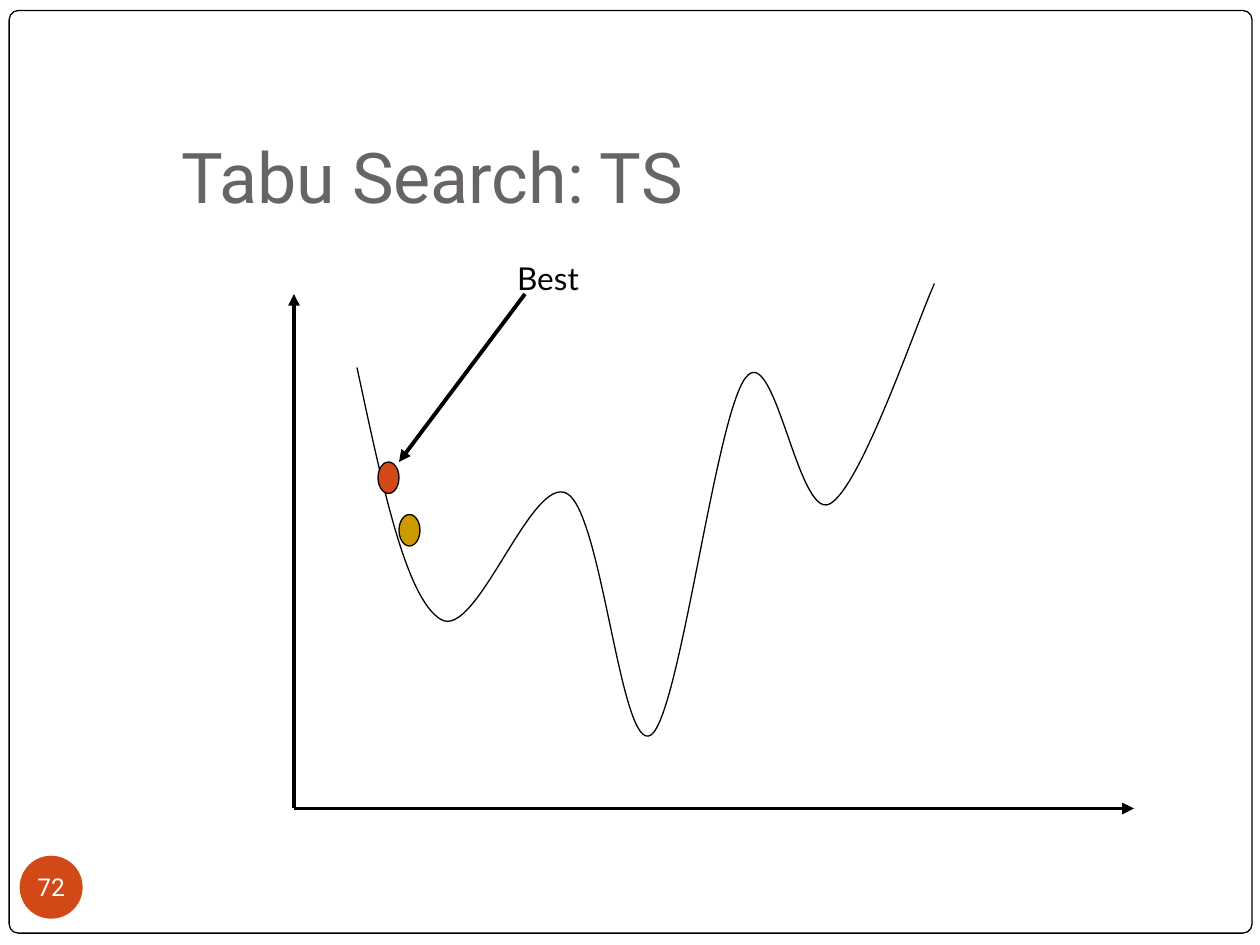
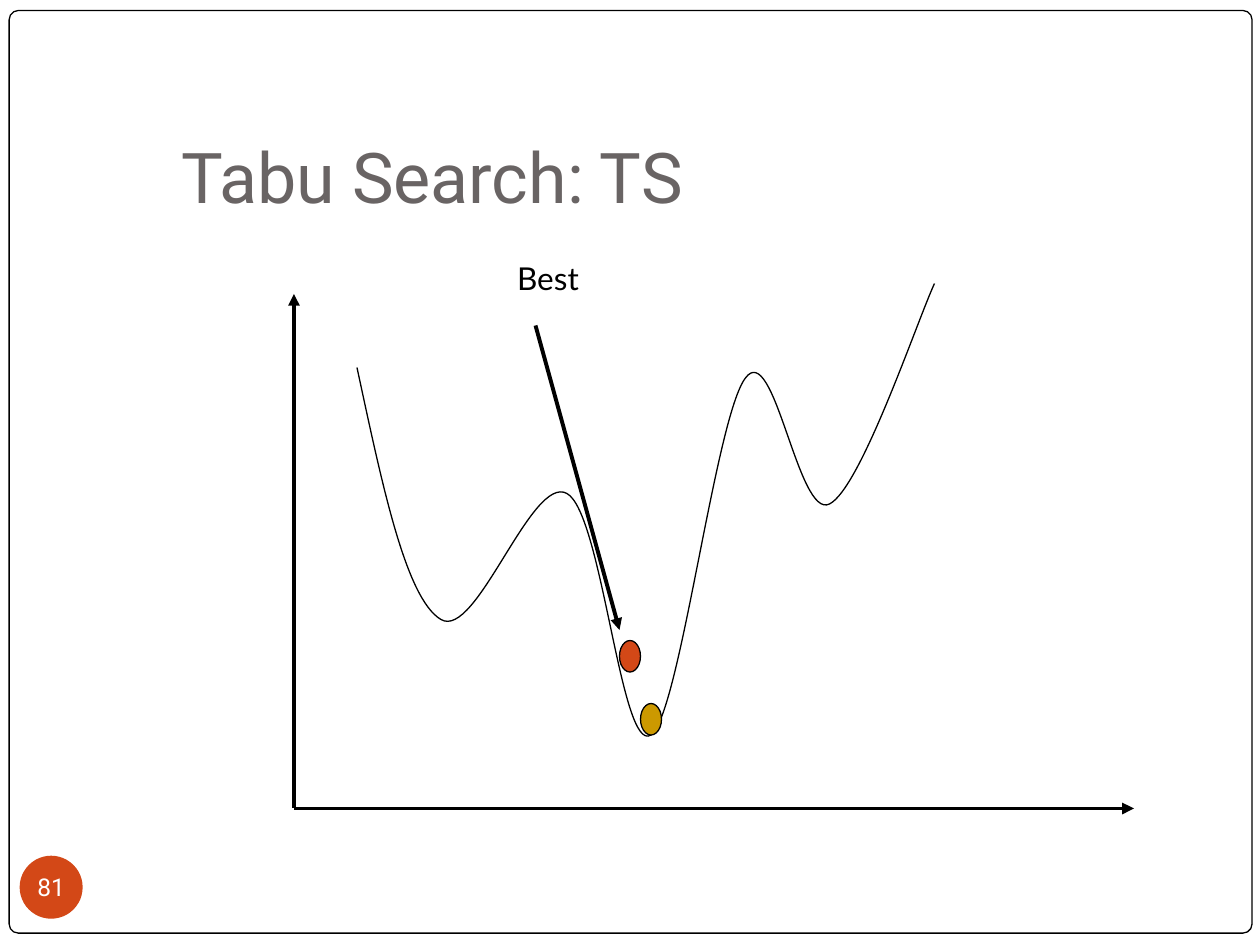
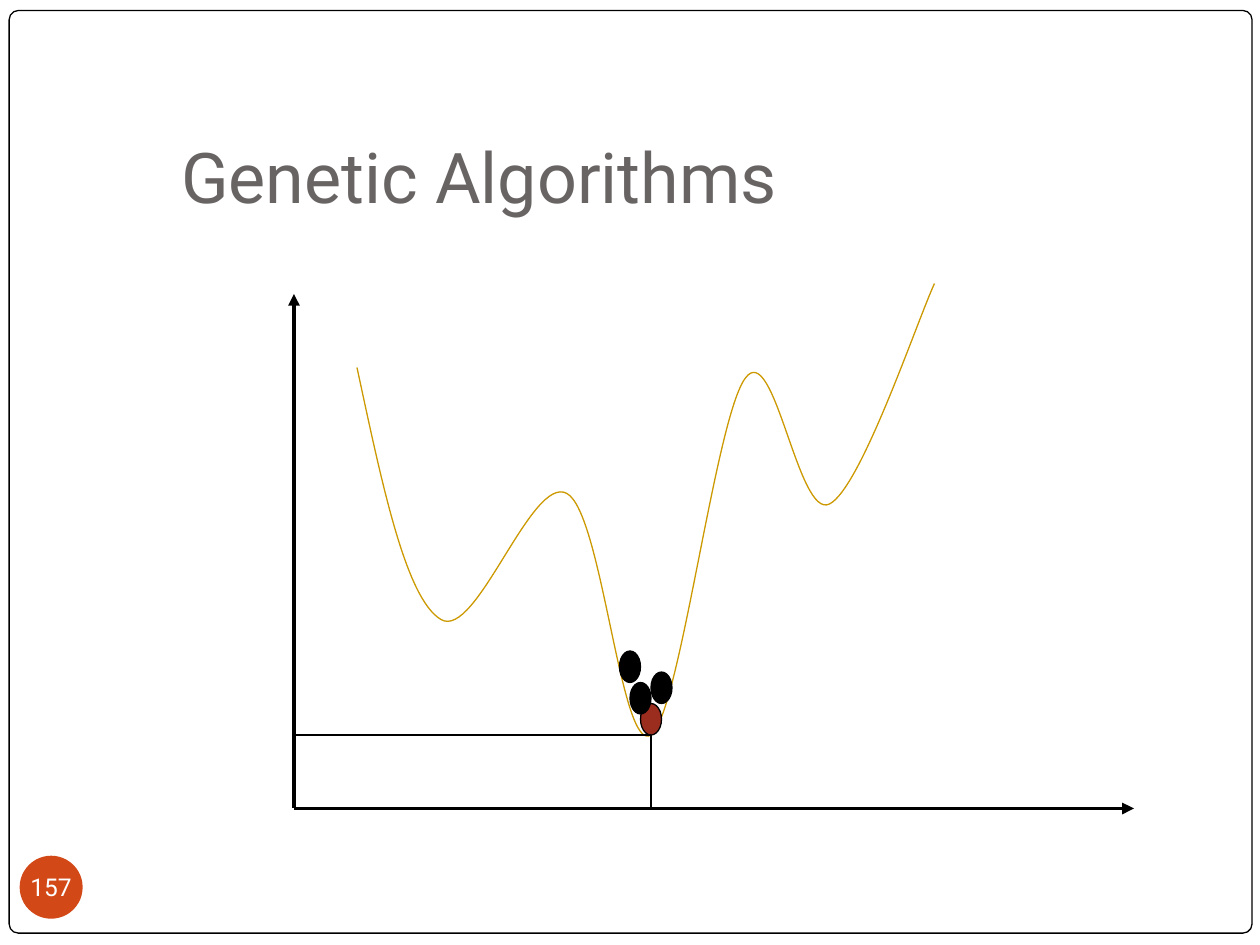
from lxml.etree import SubElement
from pptx import Presentation
from pptx.dml.color import RGBColor
from pptx.enum.shapes import MSO_CONNECTOR as Connector, MSO_SHAPE as Shape
from pptx.enum.text import MSO_ANCHOR as Anchor, PP_ALIGN as Align
from pptx.oxml.ns import qn
from pptx.util import Pt

PX = 9525  # EMU per px, 96 px to the inch

BLACK = RGBColor(0x00, 0x00, 0x00)
WHITE = RGBColor(0xFF, 0xFF, 0xFF)
GRAY = RGBColor(0x69, 0x64, 0x64)
ORANGE = RGBColor(0xD3, 0x48, 0x17)
GOLD = RGBColor(0xCC, 0x99, 0x00)
DARK_RED = RGBColor(0x9B, 0x2D, 0x1F)

THIN, THICK = 0.75, 2.25
NODE_WIDTH, NODE_HEIGHT = 16, 24
AXIS_LEFT, AXIS_TOP, AXIS_RIGHT, AXIS_BOTTOM = 224, 224, 864, 616

# Cost curve: a start point, then three Bezier points per arc
CURVE_START = (272, 280)
CURVE_POINTS = [
    (291, 368), (309, 456), (336, 472),
    (363, 488), (405, 361), (432, 376),
    (459, 391), (473, 575), (496, 560),
    (518, 545), (545, 318), (568, 288),
    (590, 258), (608, 396), (632, 384),
    (656, 372), (699, 244), (712, 216),
]

# Lines: start, end, width, arrowhead
AXES = [
    ((AXIS_LEFT, AXIS_TOP), (AXIS_LEFT, AXIS_BOTTOM), THICK, "headEnd"),
    ((AXIS_LEFT, AXIS_BOTTOM), (AXIS_RIGHT, AXIS_BOTTOM), THICK, "tailEnd"),
]
MINIMUM = (496, 560)

SLIDES = [
    dict(title="Tabu Search: TS", number="72", label="Best", curve=BLACK,
         nodes=[(304, 392, GOLD), (288, 352, ORANGE)],
         lines=[((400, 224), (304, 352), THICK, "tailEnd")]),
    dict(title="Tabu Search: TS", number="81", label="Best", curve=BLACK,
         nodes=[(472, 488, ORANGE), (488, 536, GOLD)],
         lines=[((408, 248), (472, 480), THICK, "tailEnd")]),
    dict(title="Genetic Algorithms", number="157", label=None, curve=GOLD,
         nodes=[(496, 512, BLACK), (472, 496, BLACK),
                (488, 536, DARK_RED), (480, 520, BLACK)],
         lines=[(MINIMUM, (MINIMUM[0], AXIS_BOTTOM), THIN, None),
                (MINIMUM, (AXIS_LEFT, MINIMUM[1]), THIN, None)]),
]


def add_solid(slide, kind, box, fill, line=None):
    shape = slide.shapes.add_shape(kind, *[value * PX for value in box])
    shape.shadow.inherit = False
    shape.fill.solid()
    shape.fill.fore_color.rgb = fill
    if line is None:
        shape.line.fill.background()
    else:
        shape.line.color.rgb = line
        shape.line.width = Pt(THIN)
    return shape


def write_text(shape, text, size, font, color, align=Align.LEFT,
               anchor=Anchor.TOP, insets=(10, 5, 10, 5)):
    frame = shape.text_frame
    frame.word_wrap = True
    frame.vertical_anchor = anchor
    (frame.margin_left, frame.margin_top,
     frame.margin_right, frame.margin_bottom) = [value * PX for value in insets]
    paragraph = frame.paragraphs[0]
    paragraph.alignment = align
    run = paragraph.add_run()
    run.text = text
    run.font.size = Pt(size)
    run.font.name = font
    run.font.color.rgb = color


presentation = Presentation()
presentation.slide_width = 960 * PX
presentation.slide_height = 720 * PX

for content in SLIDES:
    slide = presentation.slides.add_slide(presentation.slide_layouts[6])

    # Frame, title and slide number
    border = add_solid(slide, Shape.ROUNDED_RECTANGLE, (7, 8, 947, 703), WHITE, BLACK)
    border.adjustments[0] = 0.01
    title = slide.shapes.add_textbox(128 * PX, 90 * PX, 818 * PX, 86 * PX)
    write_text(title, content["title"], 40, "Roboto", GRAY,
               anchor=Anchor.BOTTOM, insets=(10, 5, 10, 10))
    badge = add_solid(slide, Shape.OVAL, (15, 652, 48, 48), ORANGE)
    write_text(badge, content["number"], 14, "Roboto", WHITE, align=Align.CENTER,
               anchor=Anchor.MIDDLE, insets=(0, 0, 0, 0))

    # Cost curve: each three straight segments become one Bezier arc
    builder = slide.shapes.build_freeform(*CURVE_START, scale=PX)
    builder.add_line_segments(CURVE_POINTS, close=False)
    curve = builder.convert_to_shape()
    curve.shadow.inherit = False
    curve.fill.background()
    curve.line.color.rgb = content["curve"]
    curve.line.width = Pt(THIN)
    outline = curve.element.xpath(".//a:path")[0]
    segments = outline.findall(qn("a:lnTo"))
    for first in range(0, len(segments), 3):
        arc = SubElement(outline, qn("a:cubicBezTo"))
        for segment in segments[first:first + 3]:
            arc.append(segment[0])
            outline.remove(segment)

    # Search points and label
    for left, top, color in content["nodes"]:
        add_solid(slide, Shape.OVAL, (left, top, NODE_WIDTH, NODE_HEIGHT), color, BLACK)
    if content["label"]:
        label = slide.shapes.add_textbox(384 * PX, 192 * PX, 112 * PX, 38 * PX)
        write_text(label, content["label"], 18, "Lato", BLACK)

    # Axes, pointers and guide lines
    for start, end, width, arrowhead in AXES + content["lines"]:
        connector = slide.shapes.add_connector(
            Connector.STRAIGHT, *[value * PX for value in start + end])
        connector.line.color.rgb = BLACK
        connector.line.width = Pt(width)
        if arrowhead:
            SubElement(connector.get_or_add_ln(), qn("a:" + arrowhead), type="triangle")
        SubElement(connector.element.spPr, qn("a:effectLst"))

presentation.save("out.pptx")
